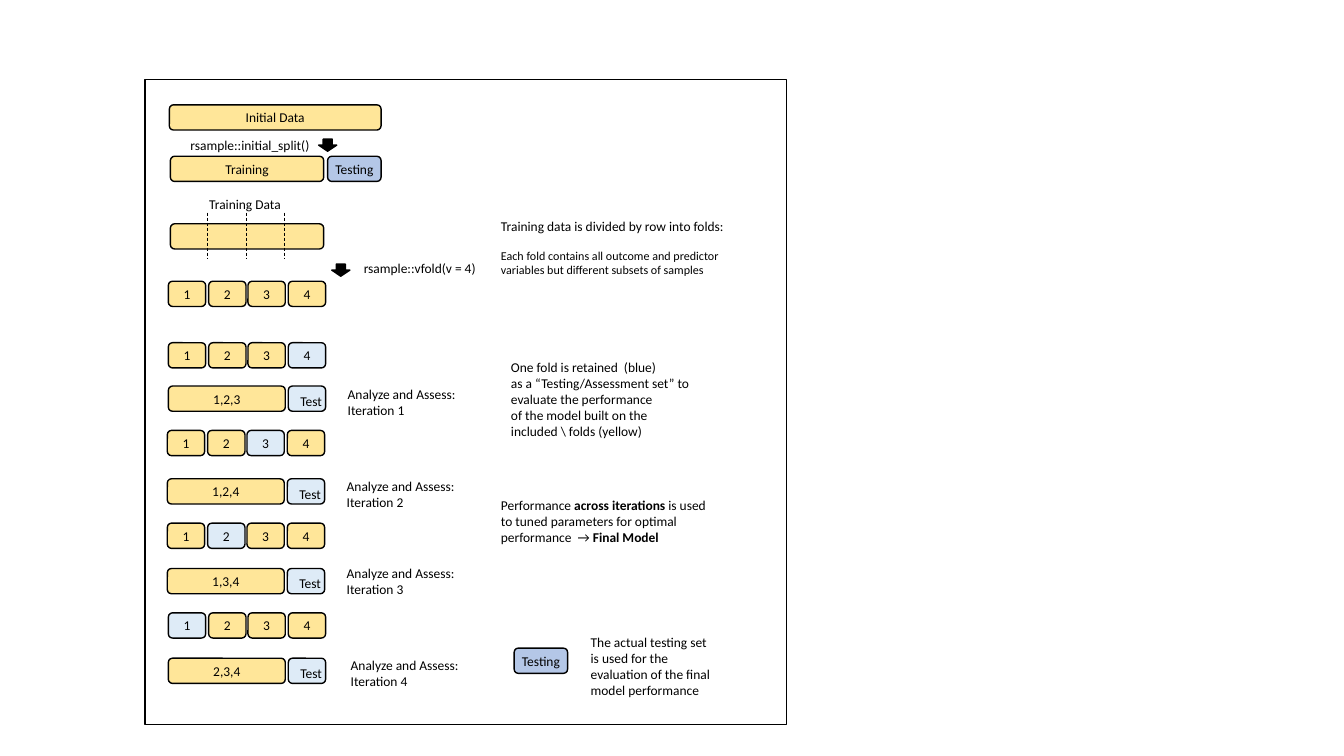
from lxml import etree
from pptx import Presentation
from pptx import util as u
from pptx.dml.color import RGBColor
from pptx.enum import dml, shapes, text
from pptx.oxml.ns import qn

PX = 9144  # 100 px to the inch
FONT = "Calibri"
BLACK = RGBColor(0x00, 0x00, 0x00)
YELLOW = RGBColor(0xFF, 0xE6, 0x99)
BLUE = RGBColor(0xB4, 0xC7, 0xE7)
PALE_BLUE = RGBColor(0xDE, 0xEB, 0xF7)

BAR_HEIGHT = 25
FOLD_WIDTH = 37
FOLD_PITCH = 39.7
FOLDS = (1, 2, 3, 4)

# held-out fold, left edge, top of folds, top of merged bar, label left, label top
ITERATIONS = [
    (4, 167, 340, 383, 335, 378),
    (3, 166, 427, 475, 334, 469),
    (2, 166, 519, 564, 334, 556),
    (1, 167, 608, 653, 338, 647),
]


def px(*lengths):
    return [u.Emu(length * PX) for length in lengths]


def write(frame, *lines, size=9.6, align=text.PP_ALIGN.LEFT):
    """Fill a text frame, one paragraph per line; **marks** set bold words."""
    for index, line in enumerate(lines):
        paragraph = frame.paragraphs[0] if index == 0 else frame.add_paragraph()
        paragraph.alignment = align
        for part, words in enumerate(line.split("**")):
            if not words:
                continue
            run = paragraph.add_run()
            run.text = words
            run.font.name = FONT
            run.font.size = u.Pt(size)
            run.font.bold = part % 2 == 1
            run.font.color.rgb = BLACK


def add_label(parent, place, *lines, wrap=True, **style):
    frame = parent.shapes.add_textbox(*px(*place)).text_frame
    frame.word_wrap = wrap
    frame.auto_size = text.MSO_AUTO_SIZE.SHAPE_TO_FIT_TEXT
    write(frame, *lines, **style)
    return frame


def add_block(parent, kind, place, fill=None):
    shape = parent.shapes.add_shape(kind, *px(*place))
    shape.shadow.inherit = False
    if fill is None:
        shape.fill.background()
    else:
        shape.fill.solid()
        shape.fill.fore_color.rgb = fill
    shape.line.color.rgb = BLACK
    shape.line.width = u.Pt(1)
    return shape


def add_bar(parent, left, top, width, caption="", fill=YELLOW):
    place = (left, top, width, BAR_HEIGHT)
    bar = add_block(parent, shapes.MSO_SHAPE.ROUNDED_RECTANGLE, place, fill)
    frame = bar.text_frame
    frame.margin_left, frame.margin_top, frame.margin_right, frame.margin_bottom = px(5, 3, 5, 3)
    frame.vertical_anchor = text.MSO_ANCHOR.MIDDLE
    if caption:
        write(frame, caption, align=text.PP_ALIGN.CENTER)


def add_down_arrow(slide, left, top):
    add_block(slide, shapes.MSO_SHAPE.DOWN_ARROW, (left, top, 18, 12), BLACK)


def add_cut(slide, x, top, bottom):
    """Draw a dashed vertical line between two folds."""
    cut = slide.shapes.add_connector(shapes.MSO_CONNECTOR.STRAIGHT, *px(x, top, x, bottom))
    cut.line.color.rgb = BLACK
    cut.line.width = u.Pt(0.5)
    cut.line.dash_style = dml.MSO_LINE.DASH
    etree.SubElement(cut._element.spPr, qn("a:effectLst"))


def fold_left(left, fold):
    return left + round((fold - 1) * FOLD_PITCH)


def add_folds(slide, left, top, held_out=None):
    for fold in FOLDS:
        fill = PALE_BLUE if fold == held_out else YELLOW
        add_bar(slide, fold_left(left, fold), top, FOLD_WIDTH, str(fold), fill)


def add_iteration(slide, number, held_out, left, folds_top, merged_top, label_left, label_top):
    add_folds(slide, left, folds_top, held_out)
    kept = ",".join(str(fold) for fold in FOLDS if fold != held_out)
    add_bar(slide, left, merged_top, 116, kept)
    test_left = fold_left(left, FOLDS[-1])
    test = slide.shapes.add_group_shape()
    add_bar(test, test_left, merged_top, FOLD_WIDTH, fill=PALE_BLUE)
    add_label(test, (test_left + 2, merged_top + 2, 43, 26), "Test", wrap=False)
    add_label(slide, (label_left, label_top, 129, 43),
              "Analyze and Assess:", f"Iteration {number}", wrap=False)


def add_split(slide):
    add_bar(slide, 168, 104, 210, "Initial Data")
    add_label(slide, (179, 131, 141, 26), "rsample::initial_split()")
    add_down_arrow(slide, 316, 138)
    add_bar(slide, 169, 155, 152, "Training")
    add_bar(slide, 325, 155, 53, "Testing", BLUE)


def add_fold_division(slide):
    add_bar(slide, 169, 222, 152)
    add_label(slide, (196, 190, 94, 26), "Training Data",
              wrap=False, align=text.PP_ALIGN.CENTER)
    for x in (206, 244, 282):
        add_cut(slide, x, 211, 256)
    add_down_arrow(slide, 329, 262)
    add_label(slide, (351, 253, 133, 26), "rsample::vfold(v = 4)", wrap=False)
    add_folds(slide, 167, 279)


def add_explanations(slide):
    division = add_label(slide, (487, 211, 249, 70),
                         "Training data is divided by row into folds:")
    detail = division.add_paragraph()
    detail.space_before = u.Pt(10.5)
    run = detail.add_run()
    run.text = "Each fold contains all outcome and predictor variables but different subsets of samples"
    run.font.name = FONT
    run.font.size = u.Pt(8.6)
    run.font.color.rgb = BLACK
    add_label(slide, (497, 351, 203, 107),
              "One fold is retained  (blue)",
              "as a “Testing/Assessment set” to evaluate the performance",
              "of the model built on the",
              "included \\ folds (yellow)")
    add_label(slide, (487, 488, 224, 59),
              "Performance **across iterations **is used to tuned parameters "
              "for optimal performance  → **Final Model**")
    add_bar(slide, 510, 643, 53, "Testing", BLUE)
    add_label(slide, (576, 624, 138, 91),
              "The actual testing set is used for the evaluation of the final model performance")


def main():
    presentation = Presentation()
    presentation.slide_width, presentation.slide_height = px(1333, 750)
    slide = presentation.slides.add_slide(presentation.slide_layouts[6])
    add_block(slide, shapes.MSO_SHAPE.RECTANGLE, (144, 79, 636, 640))
    add_split(slide)
    add_fold_division(slide)
    for number, iteration in enumerate(ITERATIONS, start=1):
        add_iteration(slide, number, *iteration)
    add_explanations(slide)
    presentation.save("out.pptx")


if __name__ == "__main__":
    main()
